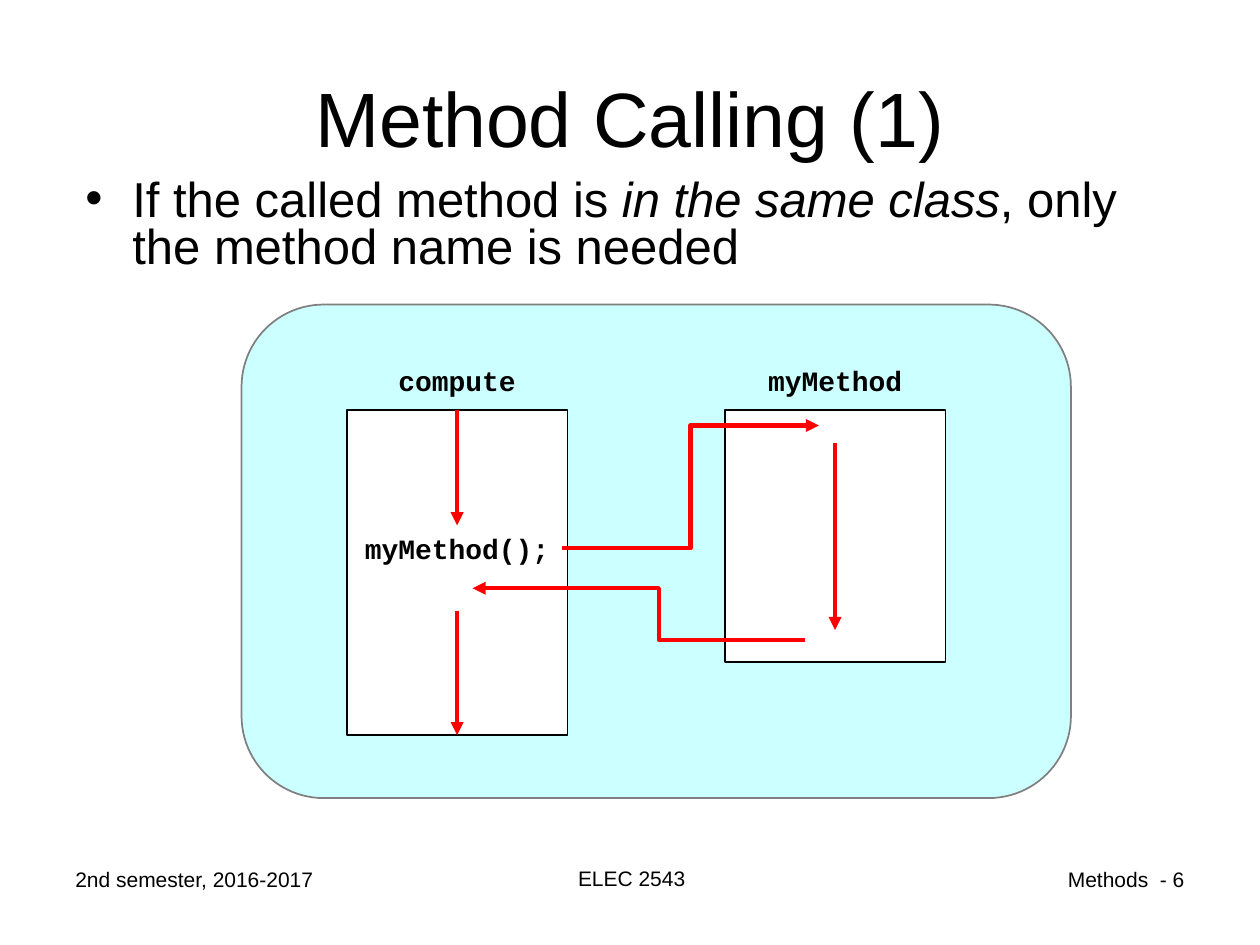
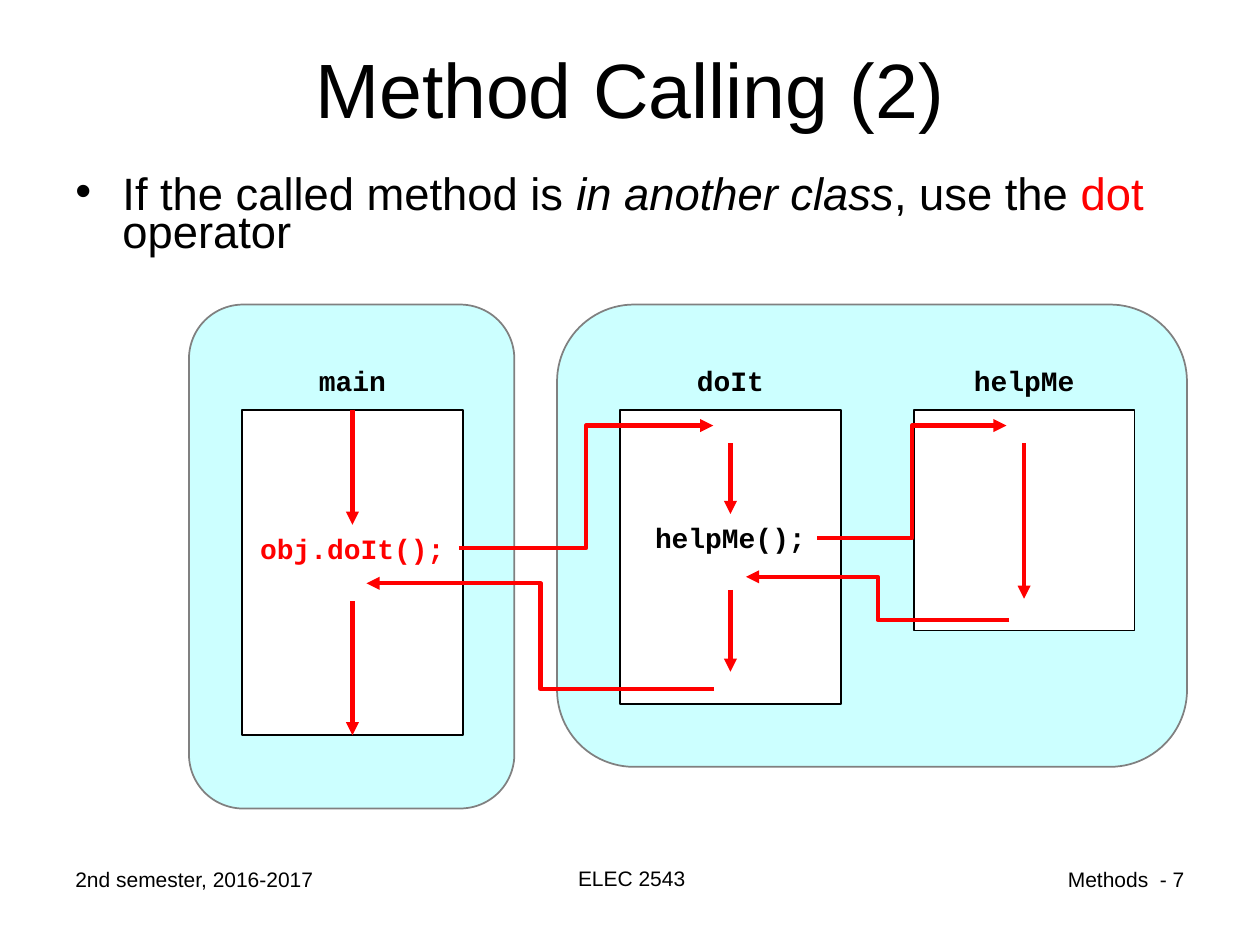
"""Build two slides on how one method calls another."""
from dataclasses import dataclass

from lxml.etree import SubElement
from pptx import Presentation
from pptx.dml.color import RGBColor
from pptx.enum.shapes import MSO_CONNECTOR, MSO_SHAPE
from pptx.enum.text import MSO_ANCHOR, PP_ALIGN
from pptx.oxml.ns import qn
from pptx.util import Cm, Pt


@dataclass(frozen=True)
class Theme:
    ink: str = "000000"
    red: str = "FF0000"
    white: str = "FFFFFF"
    panel: str = "CCFFFF"
    edge: str = "808080"
    sans: str = "Arial"
    mono: str = "Courier New"
    title: float = 44
    code: float = 16
    foot: float = 12
    thin: float = 1
    thick: float = 2.5


THEME = Theme()
LEFT, MID, RIGHT = PP_ALIGN.LEFT, PP_ALIGN.CENTER, PP_ALIGN.RIGHT
WIDE, HIGH = 25.4, 19.05
BOX_TOP, BOX_WIDE = 8.26, 4.45
NAME_MID, CODE_HIGH = 7.66, 0.94
CHAR_WIDE, CODE_PAD = 0.34, 0.51

FEET = [
    ("2nd semester, 2016-2017", (1.27, 17.35, 5.92, 1.32), LEFT),
    ("ELEC 2543", (8.71, 17.32, 8.05, 1.32), MID),
    ("Methods  - {page}", (18.21, 17.35, 5.92, 1.32), RIGHT),
]

SLIDES = [
    dict(
        page=6,
        title="Method Calling (1)",
        title_top=0.76,
        body=[("If the called method is ", {}),
              ("in the same class", dict(italic=True)),
              (", only the method name is needed", {})],
        body_at=(1.47, 3.38, 22.23, 2.18),
        size=28,
        spacing=0.8,
        panels=[(4.87, 6.14, 16.72, 9.95)],
        boxes=[
            dict(name="compute", left=6.99, high=6.56,
                 call="myMethod();", call_mid=11.06,
                 flow=[("top", "call"), (12.32, "base")]),
            dict(name="myMethod", left=14.61, high=5.08,
                 flow=[(8.94, 12.7)]),
        ],
        jumps=[(11.33, 11.05, 16.51, 8.58, 0.5),
               (16.23, 12.9, 9.53, 11.86, 0.44)],
    ),
    dict(
        page=7,
        title="Method Calling (2)",
        title_top=0.18,
        body=[("If the called method is ", {}),
              ("in another class", dict(italic=True)),
              (", use the ", {}),
              ("dot", dict(color=THEME.red)),
              (" operator", {})],
        body_at=(1.27, 3.38, 23.06, 1.85),
        size=25.9,
        spacing=0.7,
        panels=[(11.23, 6.14, 12.7, 9.32), (3.81, 6.14, 6.56, 10.16)],
        boxes=[
            dict(name="main", left=4.88, high=6.56,
                 call="obj.doIt();", call_mid=11.05, color=THEME.red,
                 flow=[("top", "call"), (12.12, "base")]),
            dict(name="doIt", left=12.5, high=5.93,
                 call="helpMe();", call_mid=10.83,
                 flow=[(8.94, "call"), (11.89, 13.54)]),
            dict(name="helpMe", left=18.42, high=4.45,
                 flow=[(8.94, 12.07)]),
        ],
        jumps=[(14.4, 13.89, 7.39, 11.76, 0.5),
               (16.48, 10.85, 20.29, 8.58, 0.5),
               (9.25, 11.05, 14.38, 8.58, 0.5),
               (20.35, 12.5, 15.04, 11.63, 0.5)],
    ),
]


def rgb(code):
    return RGBColor.from_string(code)


def write(slide, spot, runs, size, font=THEME.sans, color=THEME.ink, bold=False,
          align=LEFT, anchor=MSO_ANCHOR.TOP, wrap=True, bullet=False, spacing=None):
    box = slide.shapes.add_textbox(*map(Cm, spot))
    frame = box.text_frame
    frame.word_wrap = wrap
    frame.vertical_anchor = anchor
    para = frame.paragraphs[0]
    para.alignment = align
    para.line_spacing = spacing
    if bullet:
        frame.margin_top = Cm(0.25)
        props = para._p.get_or_add_pPr()
        props.set("marL", str(Cm(0.95)))
        props.set("indent", str(-Cm(0.95)))
        SubElement(props, qn("a:buFont")).set("typeface", font)
        SubElement(props, qn("a:buChar")).set("char", "•")
    for text, style in [(runs, {})] if isinstance(runs, str) else runs:
        run = para.add_run()
        run.text = text
        run.font.name = font
        run.font.size = Pt(size)
        run.font.bold = bold
        run.font.italic = style.get("italic", False)
        run.font.color.rgb = rgb(style.get("color", color))
    return box


def write_code(slide, text, center, middle, color=THEME.ink):
    wide = CHAR_WIDE * len(text) + CODE_PAD
    spot = (center - wide / 2, middle - CODE_HIGH / 2, wide, CODE_HIGH)
    return write(slide, spot, text, THEME.code, font=THEME.mono, color=color,
                 bold=True, align=MID, anchor=MSO_ANCHOR.MIDDLE, wrap=False)


def block(slide, kind, spot, fill, edge):
    shape = slide.shapes.add_shape(kind, *map(Cm, spot))
    shape.shadow.inherit = False
    shape.fill.solid()
    shape.fill.fore_color.rgb = rgb(fill)
    shape.line.color.rgb = rgb(edge)
    shape.line.width = Pt(THEME.thin)
    return shape


def arrow(slide, kind, ends, bend=0.5):
    line = slide.shapes.add_connector(kind, *map(Cm, ends))
    line.line.color.rgb = rgb(THEME.red)
    line.line.width = Pt(THEME.thick)
    props = line.element.spPr
    SubElement(props.find(qn("a:ln")), qn("a:tailEnd")).set("type", "triangle")
    SubElement(props, qn("a:effectLst"))
    if bend != 0.5:
        geom = props.find(qn("a:prstGeom"))
        guides = geom.find(qn("a:avLst"))
        if guides is None:
            guides = SubElement(geom, qn("a:avLst"))
        guide = SubElement(guides, qn("a:gd"))
        guide.set("name", "adj1")
        guide.set("fmla", f"val {round(bend * 100000)}")
    return line


def draw_box(slide, name, left, high, flow, call=None, call_mid=0, color=THEME.ink):
    center = left + BOX_WIDE / 2
    box = block(slide, MSO_SHAPE.RECTANGLE, (left, BOX_TOP, BOX_WIDE, high),
                THEME.white, THEME.ink)
    write_code(slide, name, center, NAME_MID)
    joints = {"top": (BOX_TOP, box, 0), "base": (BOX_TOP + high, box, 2)}
    if call:
        label = write_code(slide, call, center, call_mid, color)
        joints["call"] = (call_mid - CODE_HIGH / 2, label, 0)
    for start, stop in flow:
        first, last = (joints.get(end, (end,)) for end in (start, stop))
        line = arrow(slide, MSO_CONNECTOR.STRAIGHT,
                     (center, first[0], center, last[0]))
        if start in joints:
            line.begin_connect(*first[1:])
        if stop in joints:
            line.end_connect(*last[1:])


def draw_slide(deck, data):
    slide = deck.slides.add_slide(deck.slide_layouts[6])
    for spot in data["panels"]:
        block(slide, MSO_SHAPE.FLOWCHART_ALTERNATE_PROCESS, spot,
              THEME.panel, THEME.edge)
    for box in data["boxes"]:
        draw_box(slide, **box)
    for *ends, bend in data["jumps"]:
        arrow(slide, MSO_CONNECTOR.ELBOW, ends, bend)
    write(slide, (1.27, data["title_top"], 22.86, 3.18), data["title"], THEME.title,
          align=MID, anchor=MSO_ANCHOR.MIDDLE)
    write(slide, data["body_at"], data["body"], data["size"],
          bullet=True, spacing=data["spacing"])
    for text, spot, align in FEET:
        write(slide, spot, text.format(page=data["page"]), THEME.foot, align=align)


def main():
    deck = Presentation()
    deck.slide_width, deck.slide_height = Cm(WIDE), Cm(HIGH)
    for data in SLIDES:
        draw_slide(deck, data)
    deck.save("out.pptx")


if __name__ == "__main__":
    main()
